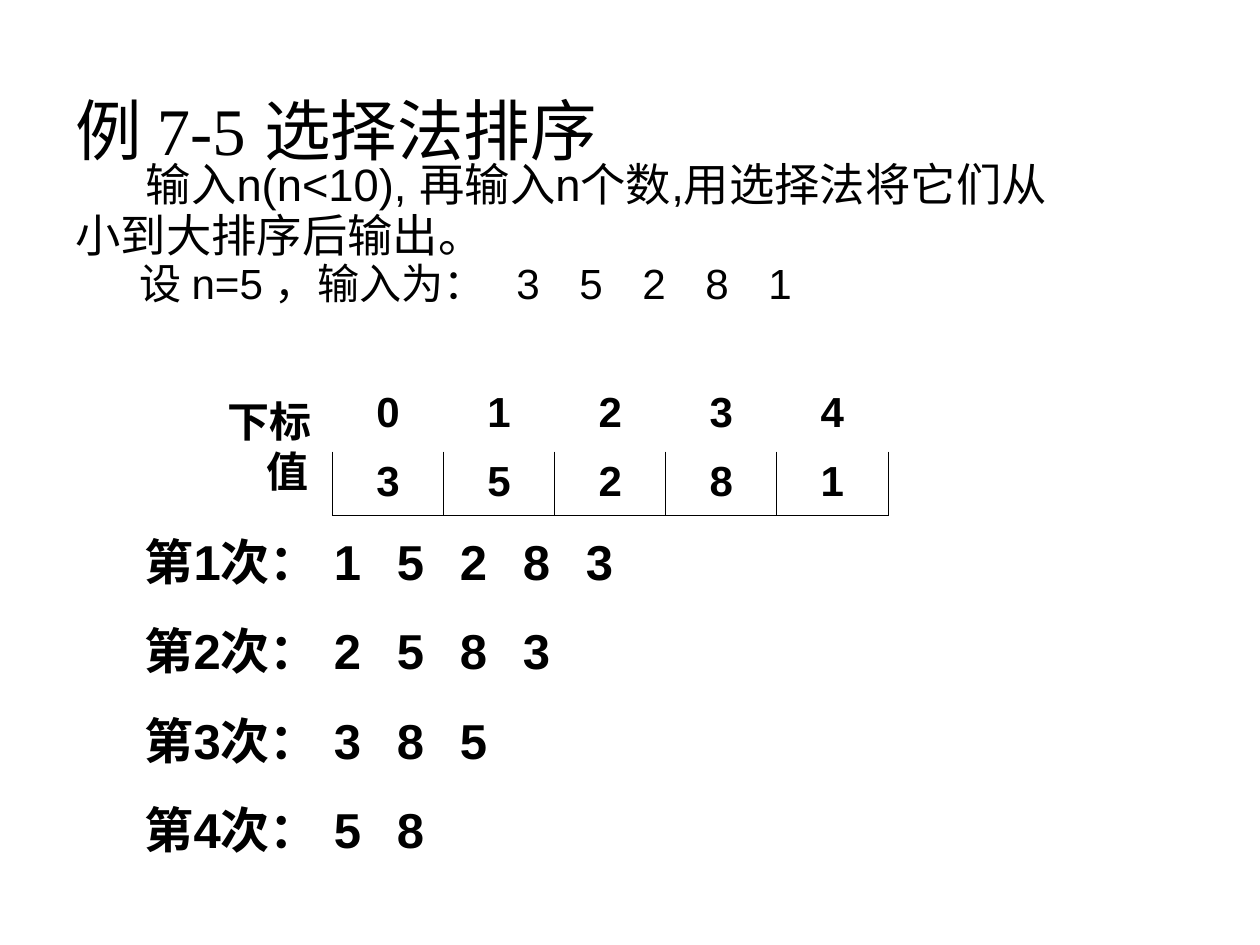
from lxml.etree import SubElement
from pptx import Presentation
from pptx.dml.color import RGBColor
from pptx.enum.text import MSO_ANCHOR, PP_ALIGN
from pptx.oxml.ns import qn
from pptx.util import Cm, Pt

BLACK = RGBColor(0x00, 0x00, 0x00)
INDEXES = ["0", "1", "2", "3", "4"]
VALUES = ["3", "5", "2", "8", "1"]
PASSES = [
    (5.06, ["1", "5", "2", "8", "3"]),
    (6.86, ["2", "5", "8", "3"]),
    (8.87, ["3", "8", "5"]),
    (10.66, ["5", "8"]),
]
STEP, WIDE_STEP, WIDE_COLUMN = 2.19, 2.46, 2


def write(paragraph, text, size, font="Arial", bold=False, indent=0, tabs=(),
          before=0, spacing=None, align=PP_ALIGN.LEFT):
    paragraph.text = text
    paragraph.alignment = align
    paragraph.space_before = Pt(before)
    if spacing:
        paragraph.line_spacing = spacing
    properties = paragraph._p.get_or_add_pPr()
    properties.set("marL", "0")
    properties.set("indent", str(Cm(indent)))
    if tabs:
        stops = SubElement(properties, qn("a:tabLst"))
        for position in tabs:
            SubElement(stops, qn("a:tab"), pos=str(Cm(position)), algn="l")
    paragraph.font.size = Pt(size)
    paragraph.font.name = font
    paragraph.font.bold = bold
    paragraph.font.color.rgb = BLACK


class SortingSlide:
    def __init__(self, slide):
        self.slide = slide

    def text(self, left, top, width, height, lines, wrap=True, inset=0.25,
             anchor=MSO_ANCHOR.TOP, **style):
        box = self.slide.shapes.add_textbox(Cm(left), Cm(top), Cm(width), Cm(height))
        frame = box.text_frame
        frame.word_wrap = wrap
        frame.vertical_anchor = anchor
        frame.margin_left = Cm(inset)
        for number, (line, line_style) in enumerate(lines):
            paragraph = frame.add_paragraph() if number else frame.paragraphs[0]
            write(paragraph, line, **{**style, **line_style})

    def table(self, left, top, column_width, row_heights, rows, boxed_row):
        table = self.slide.shapes.add_table(
            len(rows), len(rows[0]), Cm(left), Cm(top),
            Cm(column_width * len(rows[0])), Cm(sum(row_heights))).table
        table.first_row = table.horz_banding = False
        for column in table.columns:
            column.width = Cm(column_width)
        for r, (height, entries) in enumerate(zip(row_heights, rows)):
            table.rows[r].height = Cm(height)
            for c, entry in enumerate(entries):
                cell = table.cell(r, c)
                write(cell.text_frame.paragraphs[0], entry, 24, bold=True,
                      align=PP_ALIGN.CENTER)
                if r == boxed_row:
                    self.border(cell)
                cell.fill.background()

    def border(self, cell):
        properties = cell._tc.get_or_add_tcPr()
        for side in ("a:lnL", "a:lnR", "a:lnT", "a:lnB"):
            line = SubElement(properties, qn(side), w=str(Pt(0.45)))
            fill = SubElement(line, qn("a:solidFill"))
            SubElement(fill, qn("a:srgbClr"), val=str(BLACK))


def pass_lines():
    for number, (start, digits) in enumerate(PASSES, 1):
        tabs = [start]
        for column in range(number, len(VALUES)):
            tabs.append(tabs[-1] + (WIDE_STEP if column == WIDE_COLUMN else STEP))
        line = "\t".join([f"第{number}次：", *digits])
        yield line, {"tabs": tabs, "before": 17.5 if number > 1 else 0}


def main():
    presentation = Presentation()
    presentation.slide_width, presentation.slide_height = Cm(25.4), Cm(19.05)
    page = SortingSlide(presentation.slides.add_slide(presentation.slide_layouts[6]))

    page.text(1.27, 0.33, 22.86, 3.2, [("例 7-5\t选择法排序", {"tabs": [4.73]})],
              anchor=MSO_ANCHOR.BOTTOM, size=38, font="Times New Roman")

    input_tabs = [8.82 + 0.94 * n for n in range(len(VALUES))]
    page.text(1.27, 3.33, 22.63, 3.78, [
        ("输入n(n<10), 再输入n个数,用选择法将它们从", {"indent": 1.42}),
        ("小到大排序后输出。", {"before": 7}),
        ("\t".join(["设 n=5 ，输入为：", *VALUES]),
         {"indent": 1.3, "tabs": input_tabs, "size": 24.1, "before": 6.5}),
    ], size=25.9, spacing=0.7)

    page.table(6.7, 7.72, 2.24, [1.4, 1.27], [INDEXES, VALUES], boxed_row=1)
    page.text(1.4, 10.59, 20.12, 7.62, pass_lines(), inset=1.52, size=28, bold=True)
    page.text(4.34, 7.85, 2.21, 2.29, [("下标", {}), ("值", {"indent": 0.79})],
              wrap=False, size=24, bold=True)
    presentation.save("out.pptx")


if __name__ == "__main__":
    main()
